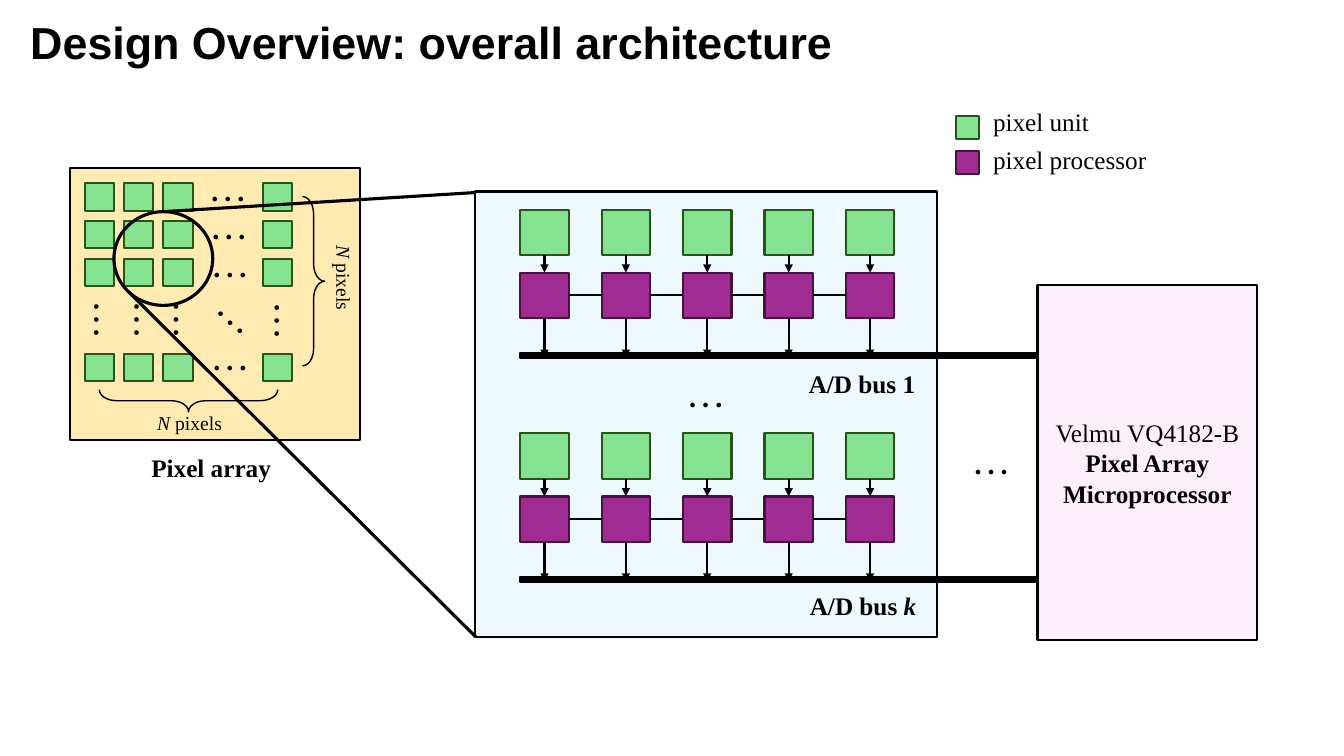
from dataclasses import dataclass
from lxml.etree import SubElement
from pptx import Presentation
from pptx.dml.color import RGBColor
from pptx.enum.shapes import MSO_CONNECTOR, MSO_SHAPE
from pptx.enum.text import MSO_ANCHOR, PP_ALIGN
from pptx.oxml.ns import qn
from pptx.util import Inches, Pt


@dataclass
class Theme:
    ink: str = "000000"
    green: tuple = ("84E291", "275417")
    plum: tuple = ("A02B93", "461340")
    sand: tuple = ("FFC000", "000000")
    sky: tuple = ("CAEEFB", "000000")
    rose: tuple = ("F2CFEE", "000000")
    black: tuple = ("000000", "000000")
    clear: tuple = (None, "000000")
    head: str = "Arial"
    body: str = "Times New Roman"
    title: int = 32
    dots: int = 28
    label: int = 18
    small: int = 14


theme = Theme()
deck = Presentation()
deck.slide_width, deck.slide_height = Inches(13.33), Inches(7.5)
slide = deck.slides.add_slide(deck.slide_layouts[5])
page = slide.shapes


def put(home, at, tone, form=MSO_SHAPE.RECTANGLE, width=1.5, alpha=None, turn=0):
    """Add a preset shape; tone is a fill and a line colour."""
    shape = home.add_shape(form, *map(Inches, at))
    shape.shadow.inherit = False
    shape.rotation = turn
    fill, edge = tone
    if fill:
        shape.fill.solid()
        shape.fill.fore_color.rgb = RGBColor.from_string(fill)
        if alpha:
            color = shape.fill._xPr.find(".//" + qn("a:srgbClr"))
            SubElement(color, qn("a:alpha"), val=str(alpha * 1000))
    else:
        shape.fill.background()
    shape.line.color.rgb = RGBColor.from_string(edge)
    shape.line.width = Pt(width)
    return shape


def link(home, start, end, width=1.5, arrow=False, joins=()):
    """Add a straight line; joins holds (shape, site) for its ends."""
    line = home.add_connector(MSO_CONNECTOR.STRAIGHT, *map(Inches, start + end))
    for join, side in zip((line.begin_connect, line.end_connect), joins):
        join(*side)
    line.line.color.rgb = RGBColor.from_string(theme.ink)
    line.line.width = Pt(width)
    if arrow:
        SubElement(line.line._get_or_add_ln(), qn("a:tailEnd"), type="triangle")
    SubElement(line._element.spPr, qn("a:effectLst"))


# Panels
put(page, (0.69, 1.67, 2.88, 2.7), theme.sand, alpha=30)
put(page, (4.71, 1.9, 4.58, 4.42), theme.sky, alpha=30)

# Pixel array
for top in (1.82, 2.19, 2.57, 3.51):
    for left in (0.84, 1.23, 1.62, 2.61):
        put(page, (left, top, 0.29, 0.27), theme.green)
for at, turn in (((1.76, 3.09, 0.22, 1.77), 270), ((3, 1.95, 0.22, 1.68), 180)):
    brace = put(page, at, theme.clear, MSO_SHAPE.LEFT_BRACE, 1, turn=turn)
    brace.adjustments[0] = 0.78

# Banks of pixel units, processors and their bus
step, wide, high = 0.8075, 0.48, 0.45
for top in (2.08, 4.3):
    bank = page.add_group_shape().shapes
    last = None
    mid = top + 0.85
    for col in range(5):
        left = 5.16 + col * step
        axis = left + wide / 2
        unit = put(bank, (left, top, wide, high), theme.green)
        proc = put(bank, (left, top + 0.625, wide, high), theme.plum)
        link(bank, (axis, top + high), (axis, top + 0.625),
             arrow=True, joins=((unit, 2), (proc, 0)))
        link(bank, (axis, top + 1.08), (axis, top + 1.47),
             arrow=True, joins=((proc, 2),))
        if last:
            link(bank, (left, mid), (left - step + wide, mid),
                 joins=((proc, 1), (last, 3)))
        last = proc
    put(bank, (5.16, top + 1.42, 5.13, 0.05), theme.black)

# Legend keys
for top, tone in ((1.15, theme.green), (1.5, theme.plum)):
    put(page, (9.48, top, 0.23, 0.23), tone)

# Zoom from the array to the banks
put(page, (1.13, 2.1, 0.98, 0.93), theme.clear, MSO_SHAPE.OVAL, 2.25)
link(page, (1.27, 2.89), (4.72, 6.32), 2.25)
link(page, (1.62, 2.1), (4.72, 1.91), 2.25)

# Microprocessor
chip = put(page, (10.29, 2.83, 2.18, 3.52), theme.rose, alpha=30)

# Text formats
head = {"size": Pt(theme.title), "name": theme.head, "bold": True}
plain = {"size": Pt(theme.label), "name": theme.body, "bold": False}
bold = {**plain, "bold": True}
slant = {**bold, "italic": True}
small = {**plain, "size": Pt(theme.small)}
tilt = {**small, "italic": True}
large = {**plain, "size": Pt(theme.dots)}

# Labels: place, turn, runs
count = [("N ", tilt), ("pixels", small)]
notes = [
    ((1.13, 4.03, 1.5, 0.34), 0, count),
    ((2.66, 2.59, 1.5, 0.34), 90, count),
    ((0.61, 4.44, 2.97, 0.4), 0, [("Pixel array", bold)]),
    ((7.82, 3.6, 1.46, 0.4), 0, [("A/D bus 1", bold)]),
    ((7.75, 5.81, 1.62, 0.4), 0, [("A/D bus ", bold), ("k", slant)]),
    ((9.54, 1.01, 1.57, 0.4), 0, [("pixel unit", plain)]),
    ((9.59, 1.38, 2.04, 0.4), 0, [("pixel processor", plain)]),
]
gaps = [(1.91, 1.67, 0), (1.92, 2.05, 0), (1.93, 2.42, 0), (1.93, 3.35, 0),
        (0.63, 2.89, 90), (1.03, 2.89, 90), (1.42, 2.89, 90), (2.42, 2.9, 90),
        (1.95, 2.9, 42), (6.65, 3.71, 0), (9.48, 4.38, 0)]
for left, top, turn in gaps:
    notes.append(((left, top, 0.7, 0.57), turn, [("···", large)]))

# Title placeholder
title = page.title
title.left, title.top, title.width, title.height = map(Inches, (0.2, 0.09, 9.78, 0.64))
title.text_frame.vertical_anchor = MSO_ANCHOR.MIDDLE
chip.text_frame.vertical_anchor = MSO_ANCHOR.MIDDLE

# Write every paragraph
lines = [
    (title.text_frame.paragraphs[0], PP_ALIGN.LEFT,
     [("Design Overview: overall architecture", head)]),
    (chip.text_frame.paragraphs[0], PP_ALIGN.CENTER, [("Velmu VQ4182-B", plain)]),
    (chip.text_frame.add_paragraph(), PP_ALIGN.CENTER,
     [("Pixel Array Microprocessor", bold)]),
]
for at, turn, runs in notes:
    note = page.add_textbox(*map(Inches, at))
    note.rotation = turn
    note.text_frame.word_wrap = True
    lines.append((note.text_frame.paragraphs[0], PP_ALIGN.CENTER, runs))
for para, align, runs in lines:
    para.alignment = align
    for words, form in runs:
        run = para.add_run()
        run.text = words
        run.font.color.rgb = RGBColor.from_string(theme.ink)
        for key, value in form.items():
            setattr(run.font, key, value)

deck.save("out.pptx")
